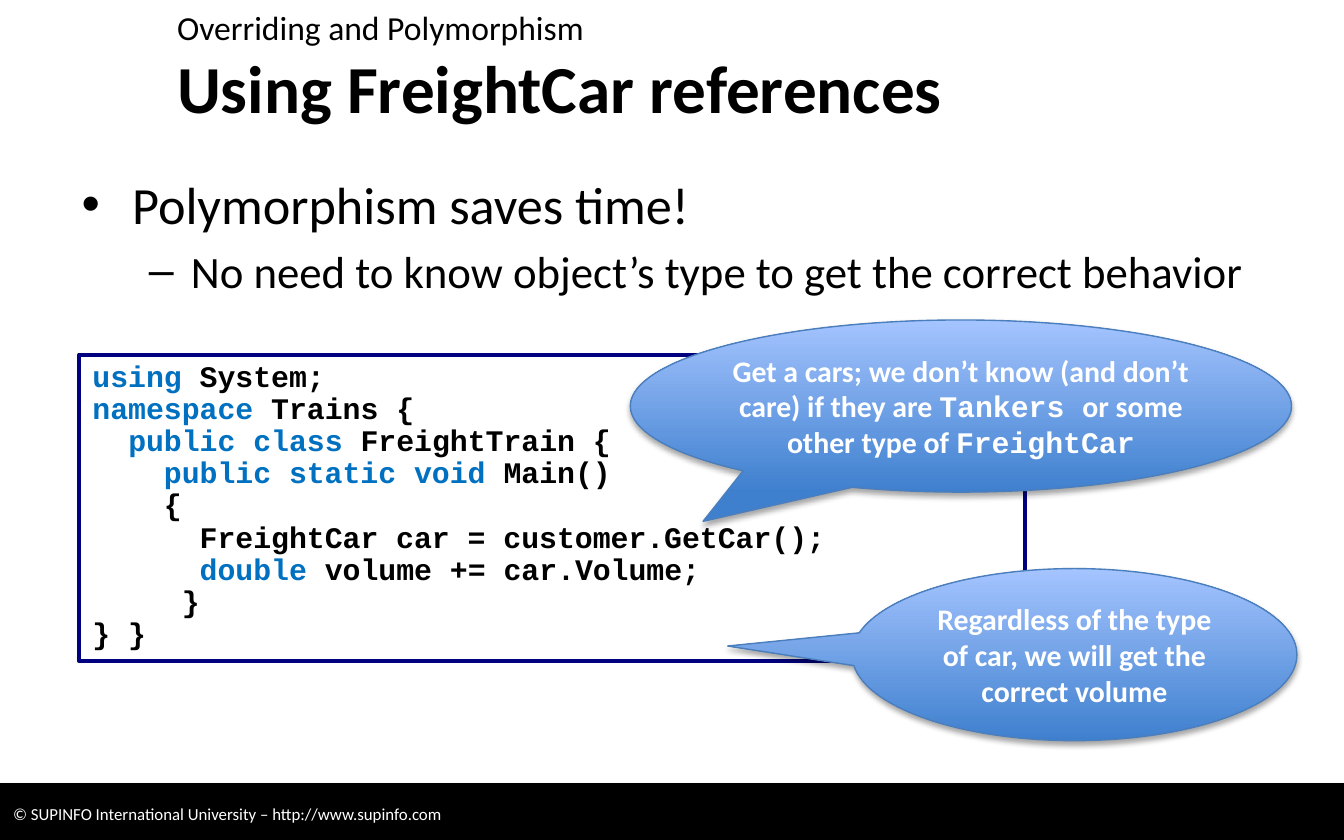
from dataclasses import dataclass

from pptx import Presentation
from pptx.dml.color import RGBColor
from pptx.enum.shapes import MSO_SHAPE
from pptx.enum.text import MSO_ANCHOR, MSO_AUTO_SIZE, PP_ALIGN
from pptx.oxml.ns import qn
from pptx.oxml.xmlchemy import OxmlElement
from pptx.util import Pt

COLORS = {
    "black": "000000",
    "white": "FFFFFF",
    "keyword": "0070C0",
    "code_border": "000080",
    "callout_bottom": "3F80CE",
    "callout_top": "A4C4FF",
    "callout_border": "4B7EBC",
    "footer_shadow": "808080",
}
BODY_FONT = "Calibri"
CODE_FONT = "Courier New"


@dataclass(frozen=True)
class Box:
    left: float
    top: float
    width: float
    height: float

    def lengths(self) -> tuple:
        return Pt(self.left), Pt(self.top), Pt(self.width), Pt(self.height)


@dataclass(frozen=True)
class Run:
    text: str
    font: str | None = None
    color: str | None = None


@dataclass(frozen=True)
class Bullet:
    text: str
    size: float
    symbol: str
    margin: float
    hanging: float
    space_before: float


@dataclass(frozen=True)
class CodeLine:
    indent: int
    keywords: str
    rest: str

    def runs(self) -> list[Run]:
        parts = [Run(" " * self.indent), Run(self.keywords, color="keyword"), Run(self.rest)]
        return [part for part in parts if part.text]


@dataclass(frozen=True)
class Callout:
    box: Box
    tip: tuple[float, float]
    side_inset: float
    runs: list[Run]


BULLETS = [
    Bullet("Polymorphism saves time!", 28, "•", 27, 27, 0),
    Bullet("No need to know object’s type to get the correct behavior", 24, "–", 58.5, 22.5, 4.8),
]
CODE = [
    CodeLine(0, "using", " System;"),
    CodeLine(0, "namespace", " Trains {"),
    CodeLine(2, "public class ", "FreightTrain {"),
    CodeLine(4, "public static void", " Main()"),
    CodeLine(4, "", "{"),
    CodeLine(6, "", "FreightCar car = customer.GetCar();"),
    CodeLine(6, "double ", "volume += car.Volume;"),
    CodeLine(5, "", "}"),
    CodeLine(0, "", "} }"),
]
CALLOUTS = [
    Callout(Box(337.7, 171.4, 354.2, 92.2), (-0.39, 0.67), 0, [
        Run("Get a cars; we don’t know (and don’t care) if they are "),
        Run("Tankers ", font=CODE_FONT),
        Run("or some other type of "),
        Run("FreightCar", font=CODE_FONT),
    ]),
    Callout(Box(456.5, 304.6, 238.3, 92.2), (-0.78, -0.05), 7.2, [
        Run("Regardless of the type of car, we will get the correct volume"),
    ]),
]


def rgb(name: str) -> RGBColor:
    return RGBColor.from_string(COLORS[name])


def write_text(paragraph, runs: list[Run], *, size: float, font: str = BODY_FONT,
               color: str = "black", bold: bool = False, alignment=PP_ALIGN.LEFT,
               line_spacing: float = 1.0, space_before: float = 0) -> None:
    paragraph.alignment = alignment
    paragraph.line_spacing = line_spacing
    paragraph.space_before = Pt(space_before)
    for part in runs:
        run = paragraph.add_run()
        run.text = part.text
        run.font.name = part.font or font
        run.font.size = Pt(size)
        run.font.bold = bold
        run.font.color.rgb = rgb(part.color or color)


def set_frame(shape, *, anchor=MSO_ANCHOR.TOP, side_inset: float = 7.2, grow: bool = False):
    frame = shape.text_frame
    frame.word_wrap = True
    frame.auto_size = MSO_AUTO_SIZE.SHAPE_TO_FIT_TEXT if grow else MSO_AUTO_SIZE.NONE
    frame.vertical_anchor = anchor
    frame.margin_left = frame.margin_right = Pt(side_inset)
    frame.margin_top = frame.margin_bottom = Pt(3.6)
    return frame


def paragraphs_for(frame, count: int) -> list:
    return [frame.paragraphs[0]] + [frame.add_paragraph() for _ in range(count - 1)]


def add_outlined(slide, preset, box: Box, line_color: str, line_width: float):
    shape = slide.shapes.add_shape(preset, *box.lengths())
    shape.shadow.inherit = False
    shape.line.color.rgb = rgb(line_color)
    shape.line.width = Pt(line_width)
    return shape


def add_shadow(shape, color: str) -> None:
    effects = shape._element.spPr.find(qn("a:effectLst"))
    shadow = OxmlElement("a:outerShdw")
    for name, value in (("blurRad", Pt(3.1)), ("dist", Pt(1.8)), ("dir", 5400000), ("rotWithShape", 0)):
        shadow.set(name, str(int(value)))
    shade = OxmlElement("a:srgbClr")
    shade.set("val", COLORS[color])
    alpha = OxmlElement("a:alpha")
    alpha.set("val", "35000")
    shade.append(alpha)
    shadow.append(shade)
    effects.append(shadow)


def add_label(slide, box: Box, text: str, *, size: float, bold: bool = False,
              anchor=MSO_ANCHOR.TOP) -> None:
    frame = set_frame(slide.shapes.add_textbox(*box.lengths()), anchor=anchor)
    write_text(frame.paragraphs[0], [Run(text)], size=size, bold=bold)


def add_footer(slide) -> None:
    shape = add_outlined(slide, MSO_SHAPE.RECTANGLE, Box(0, 419.8, 720, 32.4), "black", 0.75)
    shape.fill.solid()
    shape.fill.fore_color.rgb = rgb("black")
    add_shadow(shape, "footer_shadow")
    frame = set_frame(shape, anchor=MSO_ANCHOR.MIDDLE)
    write_text(frame.paragraphs[0],
               [Run("© SUPINFO International University – http://www.supinfo.com")],
               size=9, color="white")


def add_bullets(slide, box: Box) -> None:
    frame = set_frame(slide.shapes.add_textbox(*box.lengths()))
    for paragraph, bullet in zip(paragraphs_for(frame, len(BULLETS)), BULLETS):
        write_text(paragraph, [Run(bullet.text)], size=bullet.size, space_before=bullet.space_before)
        properties = paragraph._p.get_or_add_pPr()
        properties.set("marL", str(int(Pt(bullet.margin))))
        properties.set("indent", str(-int(Pt(bullet.hanging))))
        for tag, name, value in (("a:buFont", "typeface", "Arial"), ("a:buChar", "char", bullet.symbol)):
            element = OxmlElement(tag)
            element.set(name, value)
            properties.append(element)


def add_code(slide, box: Box) -> None:
    shape = add_outlined(slide, MSO_SHAPE.RECTANGLE, box, "code_border", 2.25)
    shape.fill.background()
    frame = set_frame(shape, grow=True)
    for paragraph, line in zip(paragraphs_for(frame, len(CODE)), CODE):
        write_text(paragraph, line.runs(), size=16, font=CODE_FONT, bold=True, line_spacing=0.9)


def add_callout(slide, callout: Callout) -> None:
    shape = add_outlined(slide, MSO_SHAPE.OVAL_CALLOUT, callout.box, "callout_border", 0.75)
    shape.adjustments[0], shape.adjustments[1] = callout.tip
    shape.fill.gradient()
    shape.fill.gradient_angle = 90
    for stop, color in zip(shape.fill.gradient_stops, ("callout_bottom", "callout_top")):
        stop.color.rgb = rgb(color)
    add_shadow(shape, "black")
    frame = set_frame(shape, anchor=MSO_ANCHOR.MIDDLE, side_inset=callout.side_inset, grow=True)
    write_text(frame.paragraphs[0], callout.runs, size=16, color="white", bold=True,
               alignment=PP_ALIGN.CENTER)


def main() -> None:
    presentation = Presentation()
    presentation.slide_width, presentation.slide_height = Pt(720), Pt(450)
    slide = presentation.slides.add_slide(presentation.slide_layouts[6])
    add_footer(slide)
    add_label(slide, Box(87.8, 26.6, 612.7, 39.6), "Using FreightCar references",
              size=36, bold=True, anchor=MSO_ANCHOR.MIDDLE)
    add_bullets(slide, Box(36.7, 88.6, 652.3, 333.4))
    add_label(slide, Box(87.8, 0, 612.7, 26.6), "Overriding and Polymorphism", size=18)
    add_code(slide, Box(42.5, 190, 506.9, 164.2))
    for callout in CALLOUTS:
        add_callout(slide, callout)
    presentation.save("out.pptx")


if __name__ == "__main__":
    main()
